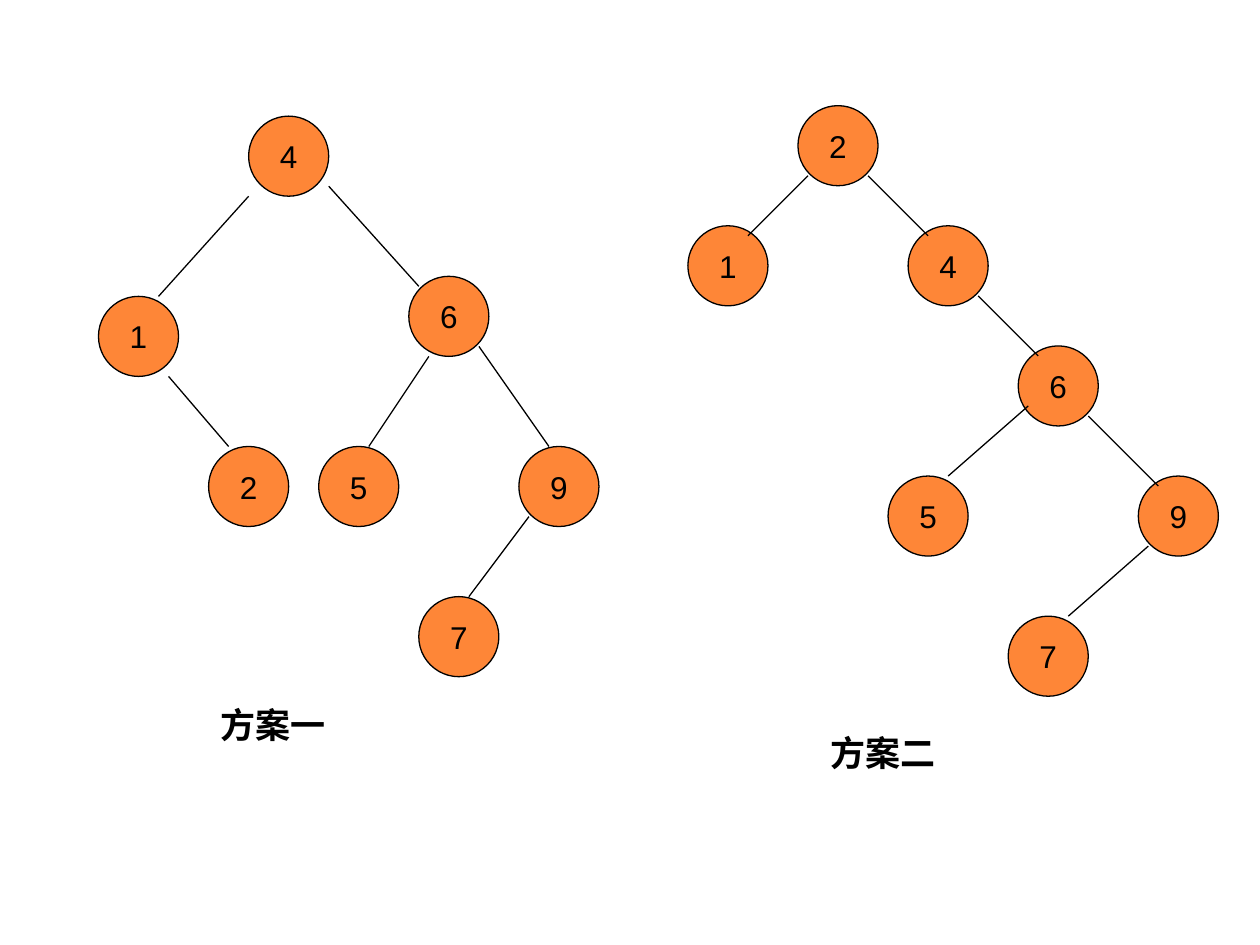
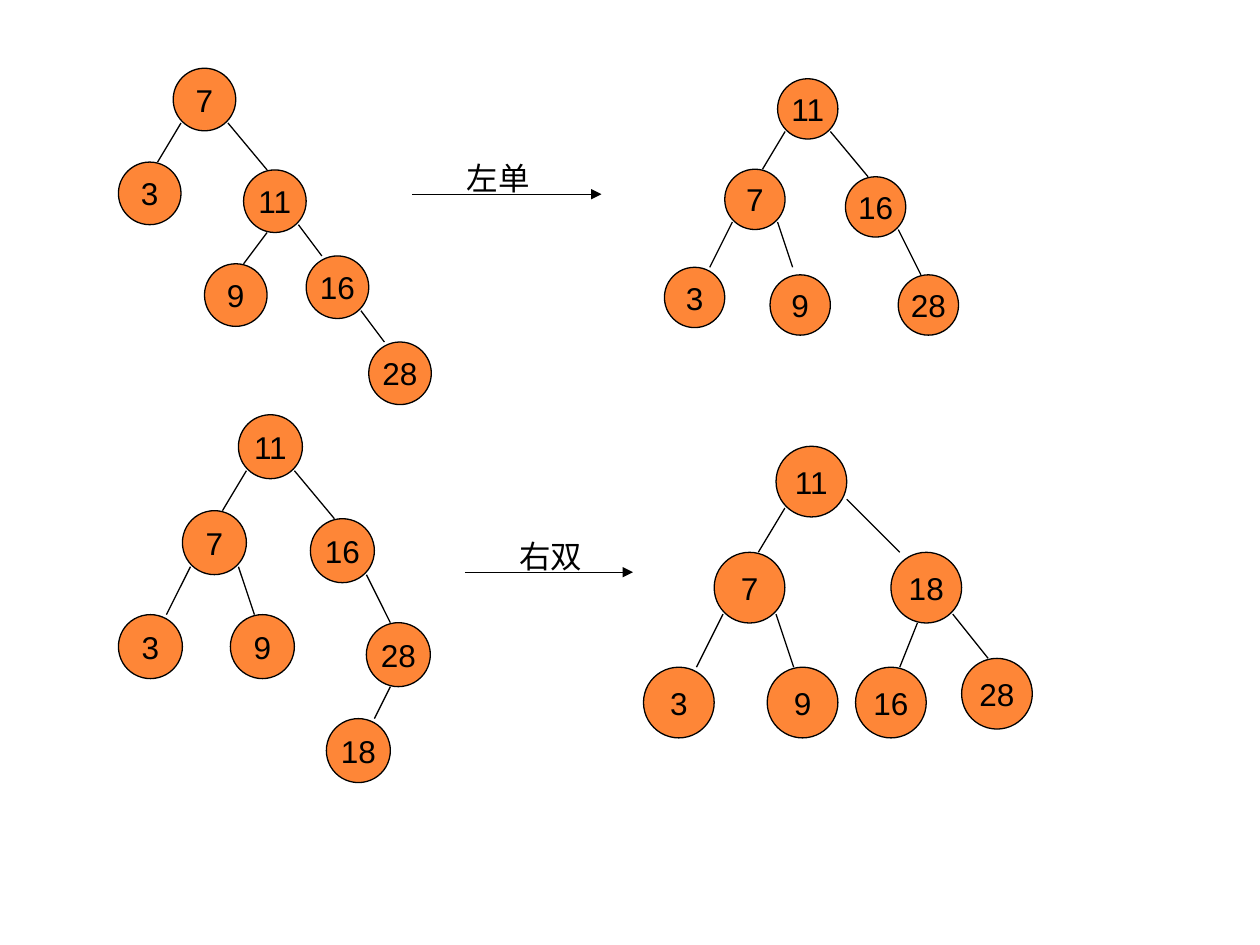
"""Build two slides of binary search trees and their AVL rotations."""
from lxml.etree import SubElement
from pptx import Presentation
from pptx.dml.color import RGBColor
from pptx.enum.shapes import MSO_CONNECTOR, MSO_SHAPE
from pptx.enum.text import MSO_ANCHOR, PP_ALIGN
from pptx.oxml.ns import qn
from pptx.util import Pt

COLORS = {"node": "FE8637", "ink": "000000"}
LINE_WIDTH = 0.75
NODE_SPAN = 8
NODE_FONT = {"name": "Arial", "size": Pt(18)}
CAPTION_FONT = {"name": "Times New Roman", "size": Pt(20), "bold": True}
NODE_FRAME = {"word_wrap": False, "vertical_anchor": MSO_ANCHOR.MIDDLE}
LABEL_FRAME = {"word_wrap": True}

# Node: value, grid position, edge from its parent (x1, y1, x2, y2)
LEFT_BRANCH = [
    ("11", (15, 0), None),
    ("7", (8, 12), (16, 7, 13, 12)),
    ("3", (0, 25), (9, 19, 6, 25)),
]
RIGHT_BRANCH = [
    ("16", (24, 13), (22, 7, 27, 13)),
    ("28", (31, 26), (31, 20, 34, 26)),
]
NINE_EDGE = (15, 19, 17, 25)

PLAN_ONE = [
    ("4", (15, 0), None),
    ("1", (0, 18), (15, 8, 6, 18)),
    ("6", (31, 16), (23, 7, 32, 17)),
    ("9", (42, 33), (38, 23, 45, 33)),
    ("2", (11, 33), (7, 26, 13, 33)),
    ("5", (22, 33), (33, 24, 27, 33)),
    ("7", (32, 48), (43, 40, 37, 48)),
]
PLAN_TWO = [
    ("2", (11, 0), None),
    ("1", (0, 12), (12, 7, 6, 13)),
    ("4", (22, 12), (18, 7, 24, 13)),
    ("6", (33, 24), (29, 19, 35, 25)),
    ("9", (45, 37), (40, 31, 47, 38)),
    ("5", (20, 37), (34, 30, 26, 37)),
    ("7", (32, 51), (46, 44, 38, 51)),
]
BEFORE_LEFT = [
    ("7", (7, 0), None),
    ("3", (0, 12), (8, 7, 5, 12)),
    ("11", (16, 13), (14, 7, 19, 13)),
    ("9", (11, 25), (19, 21, 16, 25)),
    ("16", (24, 24), (23, 20, 26, 24)),
    ("28", (32, 35), (31, 31, 34, 35)),
]
AFTER_LEFT = LEFT_BRANCH + RIGHT_BRANCH + [("9", (14, 26), NINE_EDGE)]
BEFORE_RIGHT = LEFT_BRANCH + RIGHT_BRANCH + [
    ("9", (14, 25), NINE_EDGE),
    ("18", (26, 38), (34, 34, 32, 38)),
]
AFTER_RIGHT = LEFT_BRANCH + [
    ("18", (28, 12), (23, 6, 29, 12)),
    ("28", (36, 24), (35, 19, 39, 24)),
    ("9", (14, 25), NINE_EDGE),
    ("16", (24, 25), (31, 20, 29, 25)),
]

# Trees: left, top, grid unit, nodes. Arrows: x1, y1, x2, y2. Labels: text, box, font
SLIDES = [
    {
        "trees": [(56.3, 66.4, 5.72, PLAN_ONE), (393.1, 60.4, 5.72, PLAN_TWO)],
        "arrows": [],
        "labels": [
            ("方案一", (118.8, 398.2, 120, 31), CAPTION_FONT),
            ("方案二", (467.3, 414.7, 154, 31), CAPTION_FONT),
        ],
    },
    {
        "trees": [
            (67.7, 39, 4.47, BEFORE_LEFT),
            (379.7, 45, 4.31, AFTER_LEFT),
            (67.7, 237, 4.57, BEFORE_RIGHT),
            (367.7, 255, 5.05, AFTER_RIGHT),
        ],
        "arrows": [(235.7, 111, 343.7, 111), (265.7, 327, 361.7, 327)],
        "labels": [
            ("左单", (259.7, 87.1, 60, 29), NODE_FONT),
            ("右双", (289.7, 303.1, 60, 29), NODE_FONT),
        ],
    },
]


def color(name):
    return RGBColor.from_string(COLORS[name])


def apply(target, values):
    for name, value in values.items():
        setattr(target, name, value)


def set_line(line):
    line.color.rgb = color("ink")
    line.width = Pt(LINE_WIDTH)


def write(sp, text, font, frame, align):
    tf = sp.text_frame
    apply(tf, frame)
    p = tf.paragraphs[0]
    p.alignment = align
    r = p.add_run()
    r.text = text
    apply(r.font, font)
    r.font.color.rgb = color("ink")


def add_line(shapes, ends, arrow=False):
    cx = shapes.add_connector(MSO_CONNECTOR.STRAIGHT, *map(Pt, ends))
    set_line(cx.line)
    props = cx._element.spPr
    if arrow:
        SubElement(props.find(qn("a:ln")), qn("a:tailEnd"), type="triangle")
    SubElement(props, qn("a:effectLst"))


def add_node(shapes, text, left, top, size):
    sp = shapes.add_shape(MSO_SHAPE.OVAL, Pt(left), Pt(top), Pt(size), Pt(size))
    sp.shadow.inherit = False
    sp.fill.solid()
    sp.fill.fore_color.rgb = color("node")
    set_line(sp.line)
    write(sp, text, NODE_FONT, NODE_FRAME, PP_ALIGN.CENTER)


def add_tree(s, left, top, unit, nodes):
    shapes = s.shapes.add_group_shape().shapes
    for text, (x, y), _ in nodes:
        add_node(shapes, text, left + x * unit, top + y * unit, NODE_SPAN * unit)
    for _, _, edge in nodes:
        if edge:
            x1, y1, x2, y2 = edge
            add_line(shapes, (left + x1 * unit, top + y1 * unit,
                              left + x2 * unit, top + y2 * unit))


def add_label(s, text, box, font):
    sp = s.shapes.add_textbox(*map(Pt, box))
    write(sp, text, font, LABEL_FRAME, PP_ALIGN.LEFT)


def main():
    prs = Presentation()
    prs.slide_width, prs.slide_height = Pt(720), Pt(540)
    for content in SLIDES:
        s = prs.slides.add_slide(prs.slide_layouts[6])
        for tree in content["trees"]:
            add_tree(s, *tree)
        for arrow in content["arrows"]:
            add_line(s.shapes, arrow, arrow=True)
        for label in content["labels"]:
            add_label(s, *label)
    prs.save("out.pptx")


if __name__ == "__main__":
    main()
